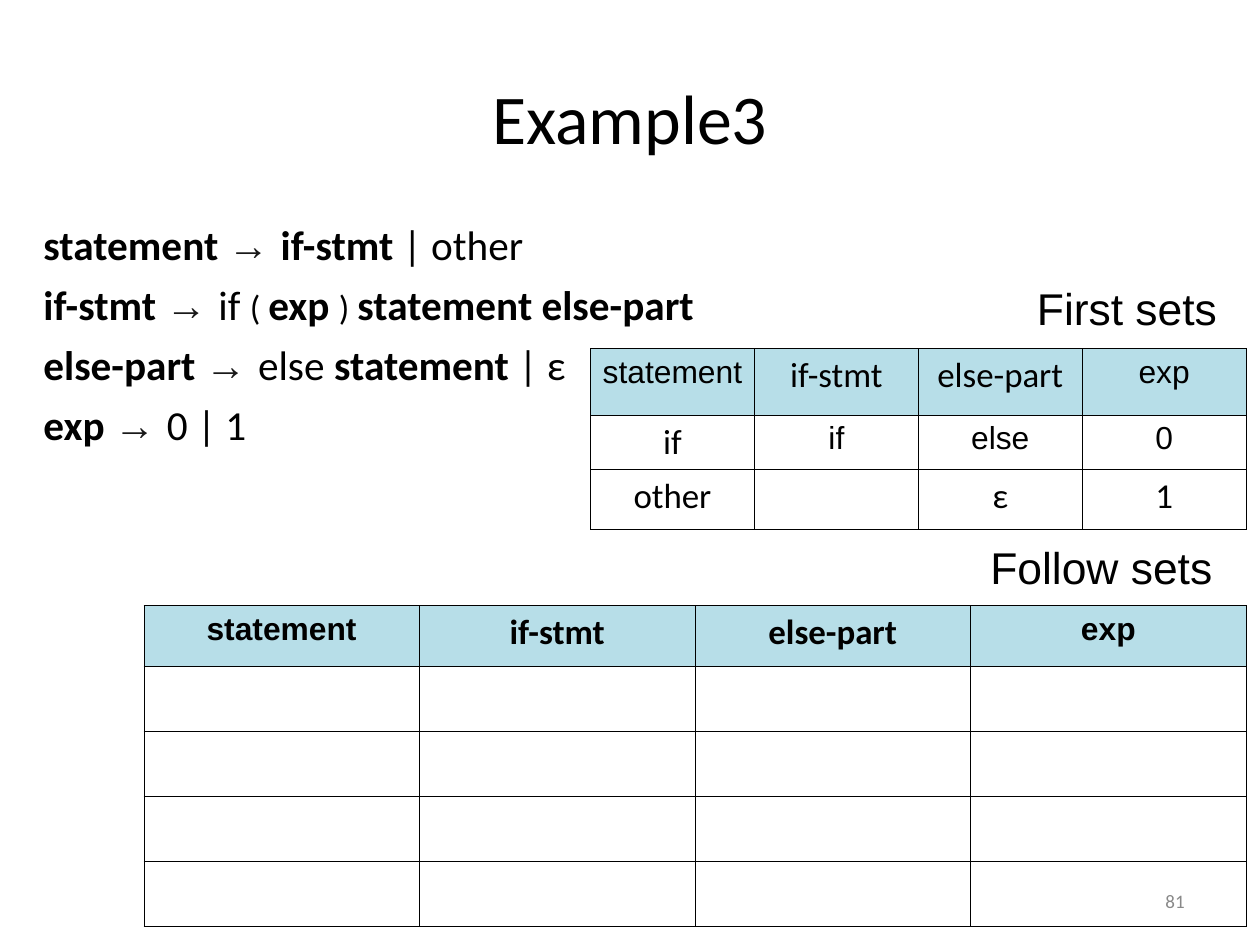
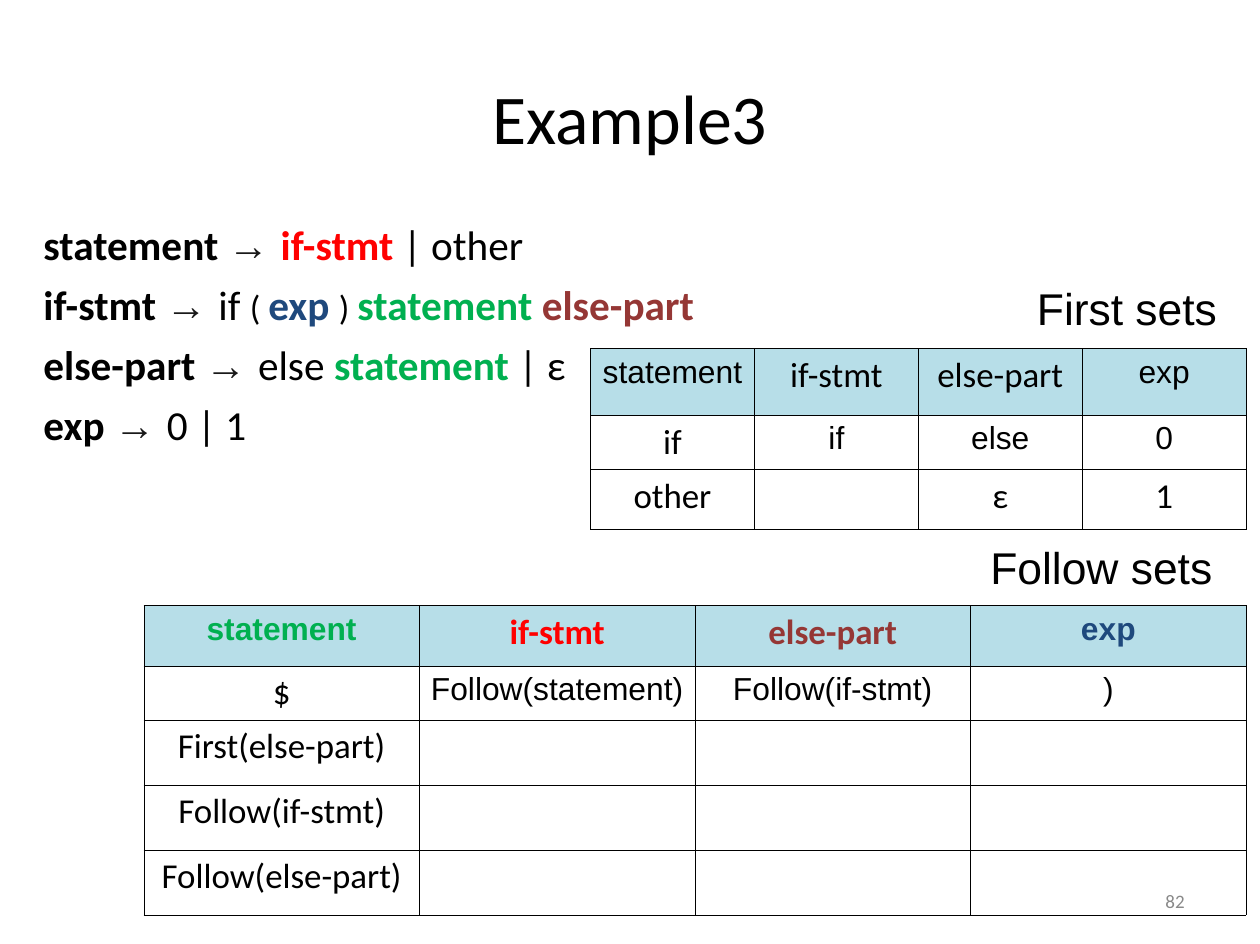
"""Two slides on the first and follow sets of an if-statement grammar."""
from lxml import etree
from pptx import Presentation
from pptx import util as u
from pptx.dml.color import RGBColor
from pptx.enum import text as t
from pptx.oxml.ns import qn

COLOURS = {"text": "000000", "arrow": "191919", "number": "898989", "header": "B7DEE8",
           "statement": "00B050", "if-stmt": "FF0000", "else-part": "953735", "exp": "1F497D"}
SYMBOLS = ["statement", "if-stmt", "else-part", "exp"]
GRAMMAR = ["statement → if-stmt | other",
           "if-stmt → if ( exp ) statement else-part",
           "else-part → else statement | ε",
           "exp → 0 | 1"]
FIRST_SETS = [SYMBOLS, ["if", "if", "else", "0"], ["other", "", "ε", "1"]]
EMPTY_ROW = [""] * 4
FOLLOW_SETS = [SYMBOLS, ["$", "Follow(statement)", "Follow(if-stmt)", ")"],
               ["First(else-part)", "", "", ""],
               ["Follow(if-stmt)", "", "", ""],
               ["Follow(else-part)", "", "", ""]]
TABLE_FONTS = [["Arial", "Calibri", "Calibri", "Arial"], ["Calibri", "Arial", "Arial", "Arial"]]
SIZES = {"Arial": 20, "Calibri": 22}

presentation = Presentation()
presentation.slide_width = u.Inches(11.03)
presentation.slide_height = u.Inches(8.26)
COLUMN = presentation.slide_width / 100
ROW = presentation.slide_height / 100


def box(left, top, width, height):
    """Turn grid columns and rows into a position and size."""
    return int(left * COLUMN), int(top * ROW), int(width * COLUMN), int(height * ROW)


def write(paragraph, words, font="Calibri", size=26, colour="text", bold=False, align=None):
    """Add one formatted run to a paragraph."""
    if align is not None:
        paragraph.alignment = align
    run = paragraph.add_run()
    run.text = words
    run.font.name = font
    run.font.size = u.Pt(size)
    run.font.bold = bold
    run.font.color.rgb = RGBColor.from_string(COLOURS[colour])


slides = [
    {"number": "81", "coloured": False, "follow": [SYMBOLS] + [EMPTY_ROW] * 4,
     "follow_heights": [6.4] + [6.9] * 4},
    {"number": "82", "coloured": True, "follow": FOLLOW_SETS,
     "follow_heights": [6.4, 5.7] + [6.9] * 3},
]

for content in slides:
    slide = presentation.slides.add_slide(presentation.slide_layouts[1])
    coloured = content["coloured"]

    title = slide.shapes.title
    title.left, title.top, title.width, title.height = box(5, 4, 90, 16.7)
    title.text_frame.vertical_anchor = t.MSO_ANCHOR.MIDDLE
    write(title.text_frame.paragraphs[0], "Example3", size=44, align=t.PP_ALIGN.CENTER)

    body = slide.placeholders[1]
    body.left, body.top, body.width, body.height = box(2.54, 22.64, 86.4, 31.23)
    frame = body.text_frame
    frame.auto_size = t.MSO_AUTO_SIZE.NONE
    for index, rule in enumerate(GRAMMAR):
        paragraph = frame.add_paragraph() if index else frame.paragraphs[0]
        paragraph.space_before = u.Pt(6.5 if index else 0)
        properties = paragraph._p.get_or_add_pPr()
        properties.set("marL", str(u.Inches(0.37)))
        properties.set("indent", str(-u.Inches(0.37)))
        etree.SubElement(properties, qn("a:buNone"))
        words = rule.split()
        for position, word in enumerate(words):
            is_symbol = word in SYMBOLS
            colour = word if coloured and is_symbol and position else "text"
            write(paragraph, word + (" " if position < len(words) - 1 else ""),
                  font="Arial" if word == "→" else "Calibri",
                  size=22 if word in "()" else 26,
                  colour="arrow" if word == "→" else colour, bold=is_symbol)

    captions = [
        ("First sets", box(81.41, 29.18, 16.14, 6.9), t.PP_ALIGN.LEFT, "Arial", 28, "text"),
        ("Follow sets", box(77.7, 56.54, 19.4, 6.9), t.PP_ALIGN.LEFT, "Arial", 28, "text"),
        (content["number"], box(71.62, 92.74, 23.3, 5.33), t.PP_ALIGN.RIGHT, "Calibri", 12, "number"),
    ]
    for words, place, align, font, size, colour in captions:
        frame = slide.shapes.add_textbox(*place).text_frame
        frame.word_wrap = align == t.PP_ALIGN.RIGHT
        frame.vertical_anchor = t.MSO_ANCHOR.MIDDLE
        write(frame.paragraphs[0], words, font=font, size=size, colour=colour, align=align)

    tables = [
        (FIRST_SETS, 46.87, 36.92, 52.04, [7.1, 5.7, 6.4], False),
        (content["follow"], 11.42, 64.16, 87.49, content["follow_heights"], True),
    ]
    for rows, left, top, width, heights, is_follow in tables:
        place = box(left, top, width, sum(heights))
        table = slide.shapes.add_table(len(rows), len(SYMBOLS), *place).table
        table.first_row = table.horz_banding = False
        for row_index, row in enumerate(rows):
            table.rows[row_index].height = int(heights[row_index] * ROW)
            for column_index, words in enumerate(row):
                cell = table.cell(row_index, column_index)
                cell.margin_left = cell.margin_right = u.Inches(0.05)
                is_header = row_index == 0
                if is_header:
                    cell.fill.solid()
                    cell.fill.fore_color.rgb = RGBColor.from_string(COLOURS["header"])
                else:
                    cell.fill.background()
                for order, side in enumerate(["a:lnL", "a:lnR", "a:lnT", "a:lnB"]):
                    border = etree.Element(qn(side), w=str(u.Pt(0.34)))
                    fill = etree.SubElement(border, qn("a:solidFill"))
                    etree.SubElement(fill, qn("a:srgbClr"), val=COLOURS["text"])
                    cell._tc.get_or_add_tcPr().insert(order, border)
                if words:
                    font = TABLE_FONTS[row_index][column_index] if row_index < 2 else "Calibri"
                    bold = is_header and is_follow
                    write(cell.text_frame.paragraphs[0], words, font=font, size=SIZES[font],
                          colour=words if bold and coloured else "text", bold=bold,
                          align=t.PP_ALIGN.CENTER)

presentation.save("out.pptx")
